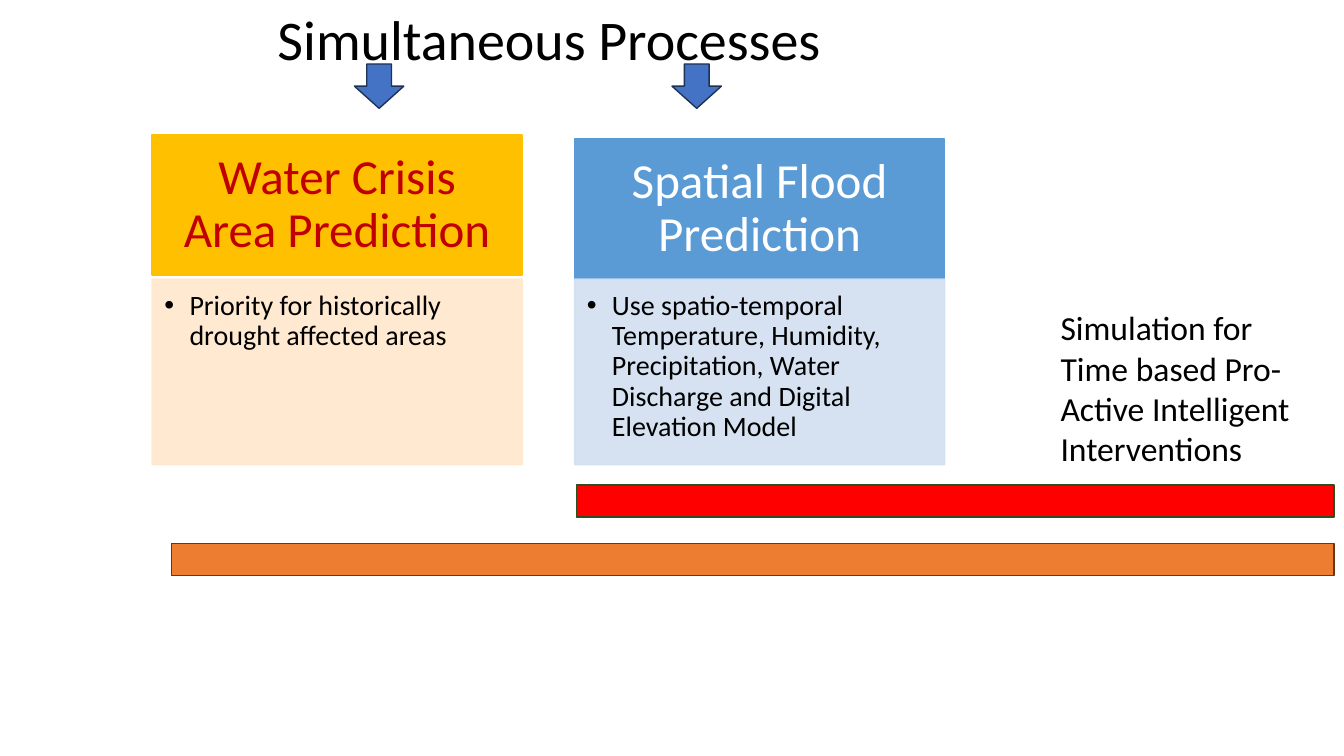
from pptx import Presentation
from pptx.dml.color import RGBColor as Rgb
from pptx.enum.shapes import MSO_SHAPE as Kind
from pptx.enum.text import MSO_ANCHOR as Anchor, PP_ALIGN as Align, MSO_AUTO_SIZE as Auto
from pptx.oxml.ns import qn
from pptx.util import Pt
from lxml.etree import SubElement as Sub

PX = 9144
WIDE, HIGH = 1333, 750
CARD_W, HEAD_H, BODY_Y, BODY_H = 367, 139, 277, 184
CARDS = [
    (151, 134, "Water Crisis Area Prediction", "FFC000", "C00000",
     "Priority for historically drought affected areas", "FFE8CC"),
    (570, 138, "Spatial Flood Prediction", "5B9BD5", "FFFFFF",
     "Use spatio-temporal Temperature, Humidity, Precipitation, Water "
     "Discharge and Digital Elevation Model", "D2DFF0"),
]
LABELS = [
    ((170, 0, 749, 77), "Simultaneous Processes", 40, Align.CENTER),
    ((1042, 300, 265, 172),
     "Simulation for Time based Pro-Active Intelligent Interventions", 24, Align.LEFT),
]
ARROWS = [354, 669]
BARS = [(572, 481, "FF0000", "314C1F"), (170, 539, "ED7D31", "683715")]
BAR_END, BAR_H = 1323, 32
HEAD = dict(margin_left=27, margin_top=16, margin_right=27, margin_bottom=16)
BODY = dict(margin_left=12, margin_top=12, margin_right=16, margin_bottom=17)


def color(code):
    return Rgb.from_string(code)


def box(slide, kind, at, fill, edge, alpha=None):
    shape = slide.shapes.add_shape(kind, *(v * PX for v in at))
    shape.shadow.inherit = False
    shape.fill.solid()
    shape.fill.fore_color.rgb = color(fill)
    shape.line.color.rgb = color(edge)
    shape.line.width = Pt(1)
    if alpha:
        for tint in shape._element.spPr.iter(qn("a:srgbClr")):
            Sub(tint, qn("a:alpha")).set("val", str(alpha * 1000))
    return shape


def write(shape, text, size, ink, align, anchor=Anchor.TOP, pads=None, space=None):
    frame = shape.text_frame
    frame.word_wrap = True
    frame.vertical_anchor = anchor
    for name, pad in (pads or {}).items():
        setattr(frame, name, pad * PX)
    para = frame.paragraphs[0]
    para.alignment = align
    if space:
        para.line_spacing = space
    run = para.add_run()
    run.text = text
    for name, value in dict(name="Calibri", size=Pt(size)).items():
        setattr(run.font, name, value)
    run.font.color.rgb = color(ink)
    return para


def bullet(para):
    props = para._p.get_or_add_pPr()
    props.set("marL", str(25 * PX))
    props.set("indent", str(-25 * PX))
    Sub(props, qn("a:buFont")).set("typeface", "Arial")
    Sub(props, qn("a:buChar")).set("char", "•")


def main():
    deck = Presentation()
    deck.slide_width, deck.slide_height = WIDE * PX, HIGH * PX
    slide = deck.slides.add_slide(deck.slide_layouts[6])

    for x, y, title, fill, ink, note, pale in CARDS:
        head = box(slide, Kind.RECTANGLE, (x, y, CARD_W, HEAD_H), fill, fill)
        write(head, title, 35, ink, Align.CENTER, Anchor.MIDDLE, HEAD, 0.9)
        body = box(slide, Kind.RECTANGLE, (x, BODY_Y, CARD_W, BODY_H), pale, pale, 90)
        bullet(write(body, note, 20, "000000", Align.LEFT, pads=BODY, space=0.9))

    for at, text, size, align in LABELS:
        label = slide.shapes.add_textbox(*(v * PX for v in at))
        write(label, text, size, "000000", align)
        label.text_frame.auto_size = Auto.SHAPE_TO_FIT_TEXT

    for x in ARROWS:
        arrow = box(slide, Kind.RIGHT_ARROW, (x, 61, 44, 49), "4472C4", "1E3256")
        arrow.rotation = 90

    for x, y, fill, edge in BARS:
        box(slide, Kind.RECTANGLE, (x, y, BAR_END - x, BAR_H), fill, edge)

    deck.save("out.pptx")


if __name__ == "__main__":
    main()
